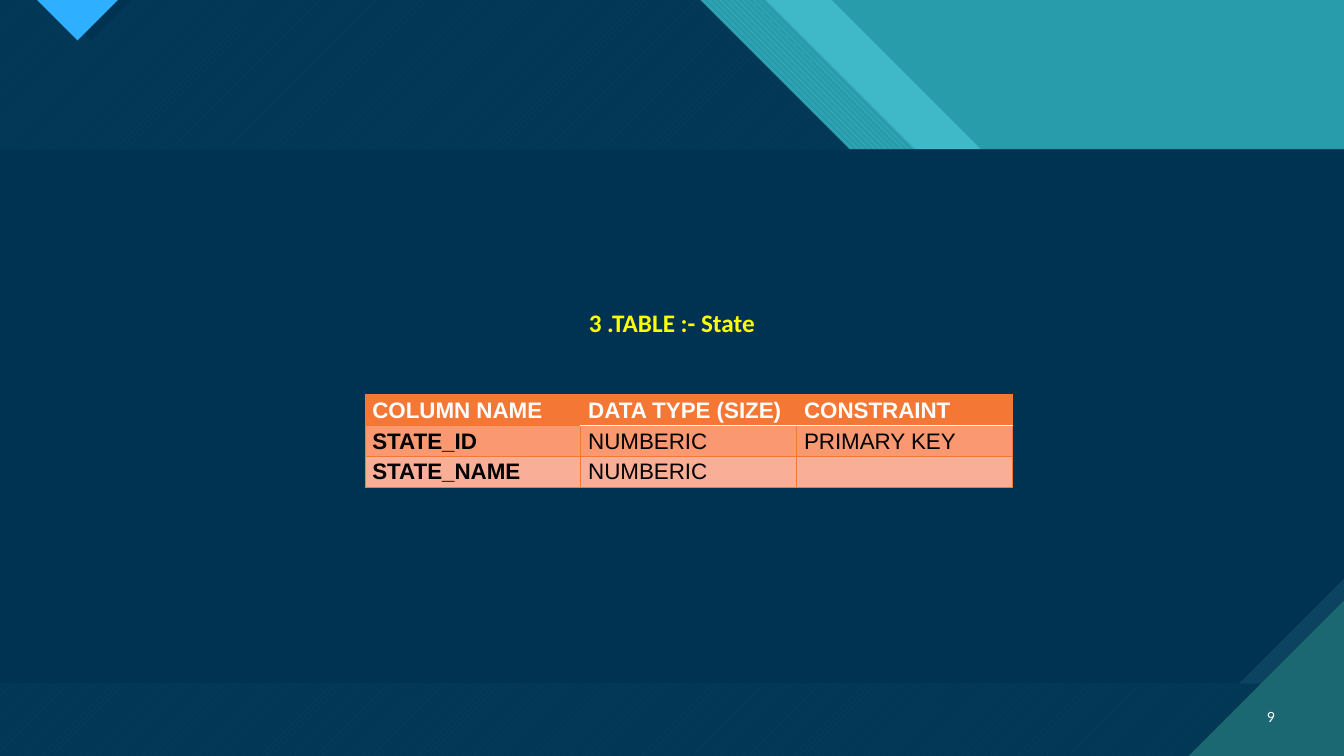
from lxml import etree
from pptx import Presentation
from pptx.dml.color import RGBColor
from pptx.enum.dml import MSO_PATTERN
from pptx.enum.shapes import MSO_SHAPE
from pptx.enum.text import MSO_ANCHOR, PP_ALIGN
from pptx.oxml.ns import qn
from pptx.util import Pt

RECT = MSO_SHAPE.RECTANGLE
SNIP = MSO_SHAPE.SNIP_1_RECTANGLE
DOWN = MSO_PATTERN.WIDE_DOWNWARD_DIAGONAL
UP = MSO_PATTERN.WIDE_UPWARD_DIAGONAL
MIDDLE = MSO_ANCHOR.MIDDLE
LEFT, CENTER, RIGHT = PP_ALIGN.LEFT, PP_ALIGN.CENTER, PP_ALIGN.RIGHT

WIDE, HIGH = 960, 540
SLOPE = 214
HEX = {
    "teal": "299CAB", "aqua": "47C3D3", "deep": "1B6872", "navy": "003352",
    "edge": "0C4360", "blue": "2FAFFF", "head": "F47735", "odd": "F99871",
    "even": "F9AE97", "white": "FFFFFF", "black": "000000", "yellow": "FFFF00",
}
ROWS = [
    ["COLUMN NAME", "DATA TYPE (SIZE)", "CONSTRAINT"],
    ["STATE_ID", "NUMBERIC", "PRIMARY KEY"],
    ["STATE_NAME", "NUMBERIC", ""],
]


def rgb(name):
    """Return the named colour."""
    return RGBColor.from_string(HEX[name])


def paint(shape, color, alpha=None, back=None, weave=None):
    """Fill a shape plainly, thinly or with a pattern, without outline."""
    shape.shadow.inherit = False
    shape.line.fill.background()
    fill = shape.fill
    if weave is not None:
        fill.patterned()
        fill.pattern = weave
        fill.fore_color.rgb = rgb(color)
        fill.back_color.rgb = rgb(back)
        return
    fill.solid()
    fill.fore_color.rgb = rgb(color)
    if alpha:
        tint = shape.fill._xPr.find(qn("a:solidFill"))[0]
        etree.SubElement(tint, qn("a:alpha"), val=str(alpha * 1000))


def poly(slide, spots, color, **style):
    """Draw a closed outline through the given points."""
    first, *rest = [(Pt(x), Pt(y)) for x, y in spots]
    pen = slide.shapes.build_freeform(*first)
    pen.add_line_segments(rest, close=True)
    paint(pen.convert_to_shape(), color, **style)


def band(slide, edge, color, **style):
    """Draw a layer whose right side slants down from the top edge."""
    spots = [(0, 0), (edge, 0), (edge + SLOPE, SLOPE), (WIDE, SLOPE),
             (WIDE, HIGH), (0, HIGH)]
    poly(slide, spots, color, **style)


def block(slide, kind, box, color):
    """Draw a plain preset shape."""
    shape = slide.shapes.add_shape(kind, *map(Pt, box))
    paint(shape, color)
    return shape


def write(para, text, size, font, color, bold=False, align=LEFT):
    """Add one styled run to a paragraph."""
    para.alignment = align
    run = para.add_run()
    run.text = text
    run.font.size = Pt(size)
    run.font.name = font
    run.font.bold = bold
    run.font.color.rgb = rgb(color)


def label(slide, box, wrap, *style, **more):
    """Add a text box with one centred line of height."""
    frame = slide.shapes.add_textbox(*map(Pt, box)).text_frame
    frame.word_wrap = wrap
    frame.vertical_anchor = MIDDLE
    write(frame.paragraphs[0], *style, **more)


def border(cell, sides):
    """Set the border lines of a cell from colour and width pairs."""
    props = cell._tc.get_or_add_tcPr()
    for spot, (side, (color, width)) in enumerate(sides.items()):
        line = etree.Element(qn(f"a:ln{side}"), w=str(Pt(width)))
        fill = etree.SubElement(line, qn("a:solidFill"))
        etree.SubElement(fill, qn("a:srgbClr"), val=HEX[color])
        props.insert(spot, line)


def grid(slide, box):
    """Add the table of columns, types and constraints."""
    table = slide.shapes.add_table(3, 3, *map(Pt, box)).table
    for r, words in enumerate(ROWS):
        for c, word in enumerate(words):
            cell = table.cell(r, c)
            cell.margin_left = cell.margin_right = Pt(5.4)
            cell.margin_top = cell.margin_bottom = 0
            cell.fill.solid()
            cell.fill.fore_color.rgb = rgb(("head", "odd", "even")[r])
            sides = {side: ("head", 0.5) for side in "LRTB"}
            if c and r < 2:
                sides["TB"[r == 0]] = ("white", 1)
            border(cell, sides)
            para = cell.text_frame.paragraphs[0]
            para.line_spacing = 1.15
            color = "black" if r else "white"
            write(para, word, 16, "Arial", color, bold=r == 0 or c == 0)


def main():
    """Build and save the slide."""
    deck = Presentation()
    deck.slide_width, deck.slide_height = Pt(WIDE), Pt(HIGH)
    slide = deck.slides.add_slide(deck.slide_layouts[6])
    slide.background.fill.solid()
    slide.background.fill.fore_color.rgb = rgb("aqua")

    block(slide, RECT, (0, 0, WIDE, HIGH), "teal")
    band(slide, 594, "aqua", alpha=74)
    band(slide, 547, "aqua", back="teal", weave=DOWN)
    band(slide, 500, "aqua", back="deep", weave=UP)
    band(slide, 500, "navy", alpha=90)
    poly(slide, [(34.6, 0), (94.3, 0), (64.8, 29.5)], "navy")
    poly(slide, [(26.6, 0), (84.2, 0), (55.4, 28.8)], "blue")

    panel = (0, 106.8, WIDE, 381.6)
    block(slide, RECT, panel, "edge")
    front = block(slide, SNIP, panel, "navy")
    front.adjustments[0] = 0.197
    front._element.spPr.find(qn("a:xfrm")).set("flipV", "1")
    poly(slide, [(849, HIGH), (WIDE, HIGH), (WIDE, 429)], "deep")

    label(slide, (886.3, 497.5, 31.7, 28.8), True,
          "9", 10, "Lato", "white", align=RIGHT)
    grid(slide, (260.6, 281.6, 462.6, 66.3))
    label(slide, (412.6, 216, 134.6, 28.8), False,
          "3 .TABLE :- State", 18, "Calibri", "yellow", bold=True, align=CENTER)
    deck.save("out.pptx")


if __name__ == "__main__":
    main()
